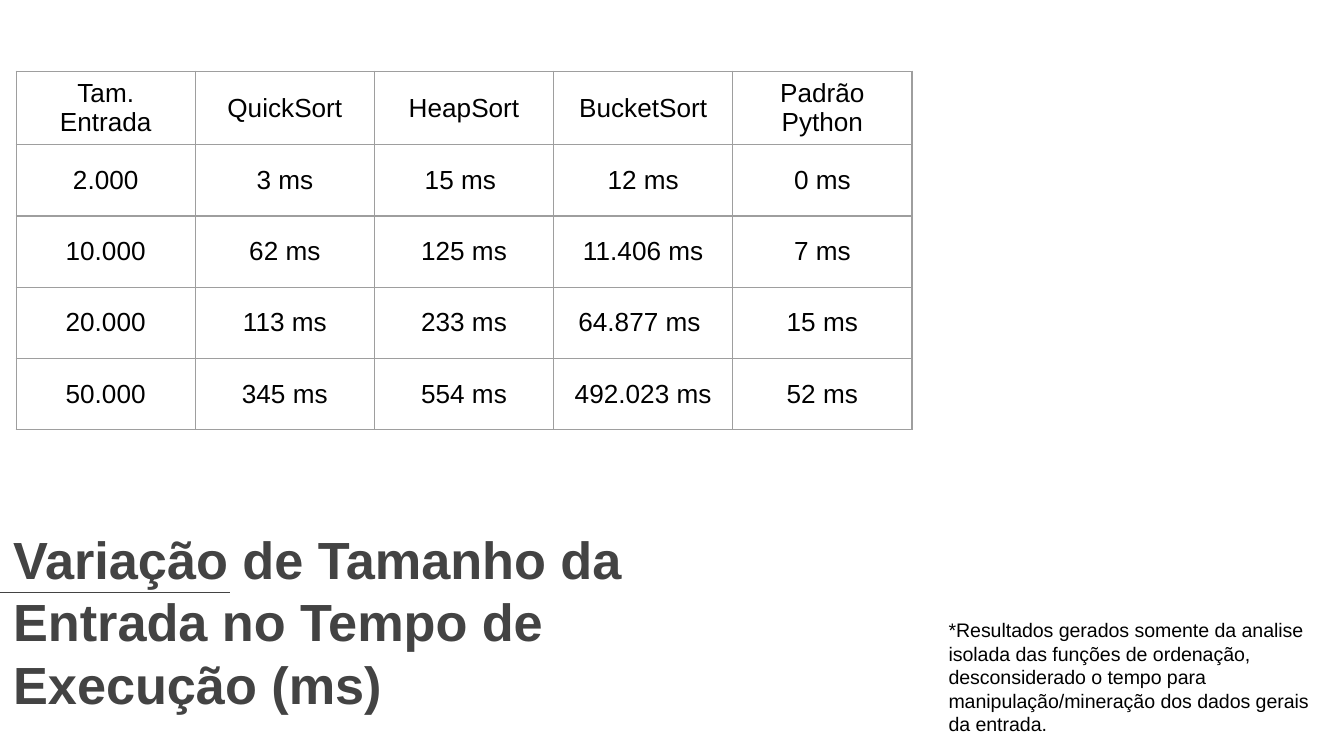
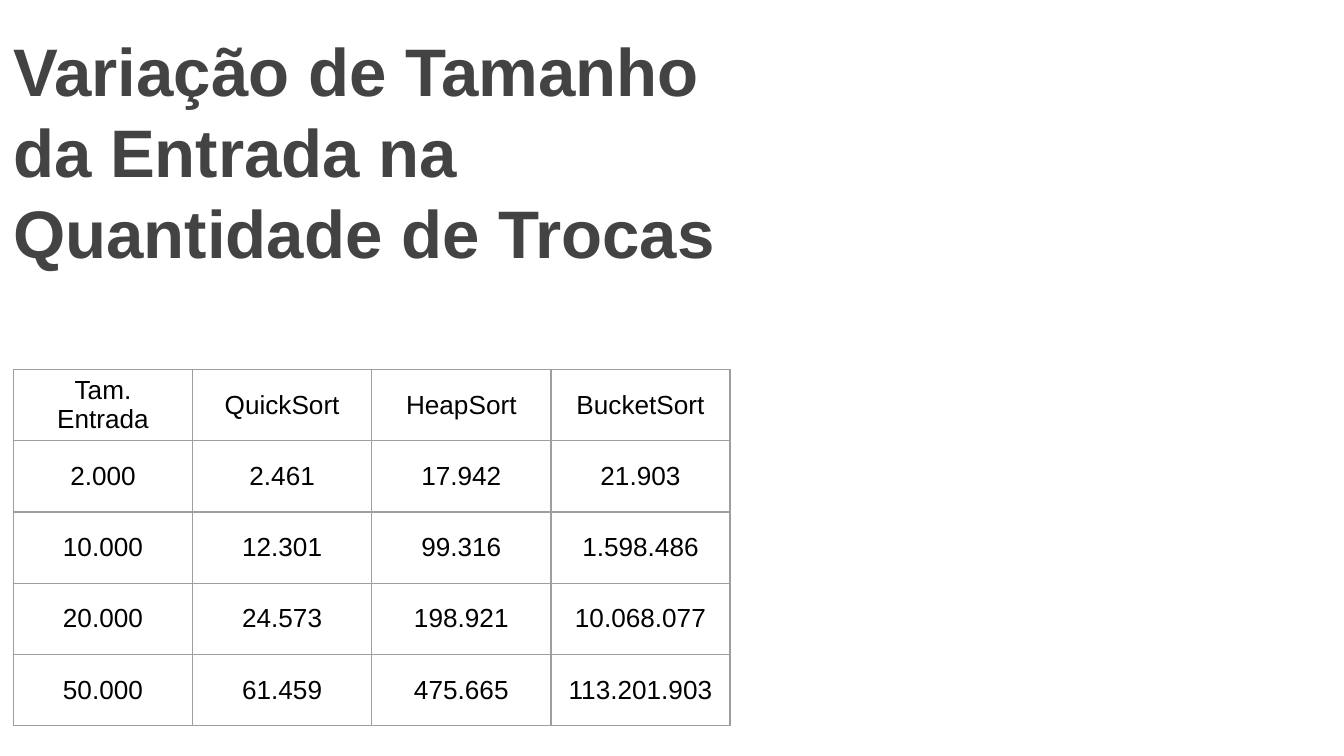
from lxml import etree
from pptx import Presentation
from pptx import util as u
from pptx.dml import color
from pptx.enum import shapes, text
from pptx.oxml import ns

COLORS = {"title": "434343", "body": "000000", "grid": "9E9E9E", "background": "FFFFFF"}
FONT = "Arial"
SLIDE_WIDTH = 10
SLIDE_HEIGHT = SLIDE_WIDTH * 9 / 16
COLUMN_WIDTH = 4 / 3
ROW_HEIGHT = 0.53
LINE_WIDTH = 0.75
SINGLE_SPACED = {"line_spacing": 1.0}
CENTERED = {"alignment": text.PP_ALIGN.CENTER}

TIMES = [
    ["Tam. Entrada", "QuickSort", "HeapSort", "BucketSort", "Padrão Python"],
    ["2.000", "3 ms", "15 ms ", "12 ms", "0 ms"],
    ["10.000", "62 ms", "125 ms", "11.406 ms", "7 ms"],
    ["20.000", "113 ms", "233 ms", "64.877 ms ", "15 ms"],
    ["50.000", "345 ms", "554 ms", "492.023 ms", "52 ms"],
]
SWAPS = [
    ["Tam. Entrada", "QuickSort", "HeapSort", "BucketSort"],
    ["2.000", "2.461", "17.942", "21.903"],
    ["10.000", "12.301", "99.316", "1.598.486"],
    ["20.000", "24.573", "198.921", "10.068.077"],
    ["50.000", "61.459", "475.665", "113.201.903"],
]


def rgb(name):
    return color.RGBColor.from_string(COLORS[name])


def apply_format(target, values):
    for name, value in values.items():
        setattr(target, name, value)


def write_text(frame, words, size, color_name, paragraph_format, bold=False):
    paragraph = frame.paragraphs[0]
    apply_format(paragraph, paragraph_format)
    run = paragraph.add_run()
    run.text = words
    apply_format(run.font, {"name": FONT, "size": u.Pt(size), "bold": bold})
    run.font.color.rgb = rgb(color_name)


def add_text_box(slide, box, frame_format):
    frame = slide.shapes.add_textbox(*map(u.Inches, box)).text_frame
    apply_format(frame, {"word_wrap": True, **frame_format})
    return frame


def add_title(slide, top, words, size):
    margins = {f"margin_{side}": u.Inches(0.1) for side in ("left", "top", "right", "bottom")}
    frame_format = {"vertical_anchor": text.MSO_ANCHOR.MIDDLE, **margins}
    frame = add_text_box(slide, (0, top, 5.47, 1.12), frame_format)
    write_text(frame, words, size, "title", SINGLE_SPACED, bold=True)


def add_note(slide, words):
    frame_format = {"auto_size": text.MSO_AUTO_SIZE.SHAPE_TO_FIT_TEXT}
    frame = add_text_box(slide, (6.96, 4.55, 3.04, 0.98), frame_format)
    write_text(frame, words, 10.5, "body", SINGLE_SPACED)


def add_rule(slide, top, length):
    line = slide.shapes.add_connector(
        shapes.MSO_CONNECTOR.STRAIGHT, 0, u.Inches(top), u.Inches(length), u.Inches(top))
    line.line.color.rgb = rgb("title")
    line.line.width = u.Pt(LINE_WIDTH)
    etree.SubElement(line._element.spPr, ns.qn("a:effectLst"))


def add_borders(cell):
    properties = cell._tc.get_or_add_tcPr()
    for position, side in enumerate(("lnL", "lnR", "lnT", "lnB")):
        border = etree.Element(ns.qn(f"a:{side}"), w=str(u.Pt(LINE_WIDTH)))
        fill = etree.SubElement(border, ns.qn("a:solidFill"))
        etree.SubElement(fill, ns.qn("a:srgbClr"), val=COLORS["grid"])
        properties.insert(position, border)


def add_data_table(slide, left, top, rows):
    row_count, column_count = len(rows), len(rows[0])
    table = slide.shapes.add_table(
        row_count, column_count, u.Inches(left), u.Inches(top),
        u.Inches(COLUMN_WIDTH * column_count), u.Inches(ROW_HEIGHT * row_count)).table
    apply_format(table, {"first_row": False, "horz_banding": False})
    cell_format = {
        "vertical_anchor": text.MSO_ANCHOR.MIDDLE,
        "margin_top": u.Inches(0.04),
        "margin_bottom": u.Inches(0.04),
    }
    for row_index, row in enumerate(rows):
        for column_index, words in enumerate(row):
            cell = table.cell(row_index, column_index)
            cell.fill.background()
            apply_format(cell, cell_format)
            write_text(cell.text_frame, words, 14, "body", CENTERED)
            add_borders(cell)


def add_slide(presentation):
    slide = presentation.slides.add_slide(presentation.slide_layouts[6])
    slide.background.fill.solid()
    slide.background.fill.fore_color.rgb = rgb("background")
    return slide


def build_time_slide(presentation):
    slide = add_slide(presentation)
    add_title(slide, 4.06, "Variação de Tamanho da Entrada no Tempo de Execução (ms)", 28)
    add_rule(slide, 4.41, 1.71)
    add_data_table(slide, 0.12, 0.53, TIMES)
    add_note(slide, "*Resultados gerados somente da analise isolada das funções de ordenação, "
                    "desconsiderado o tempo para manipulação/mineração dos dados gerais da entrada.")


def build_swap_slide(presentation):
    slide = add_slide(presentation)
    add_data_table(slide, 0.1, 2.75, SWAPS)
    add_title(slide, 0.56, "Variação de Tamanho da Entrada na Quantidade de Trocas", 36)


def main():
    presentation = Presentation()
    presentation.slide_width = u.Inches(SLIDE_WIDTH)
    presentation.slide_height = u.Inches(SLIDE_HEIGHT)
    build_time_slide(presentation)
    build_swap_slide(presentation)
    presentation.save("out.pptx")


main()
